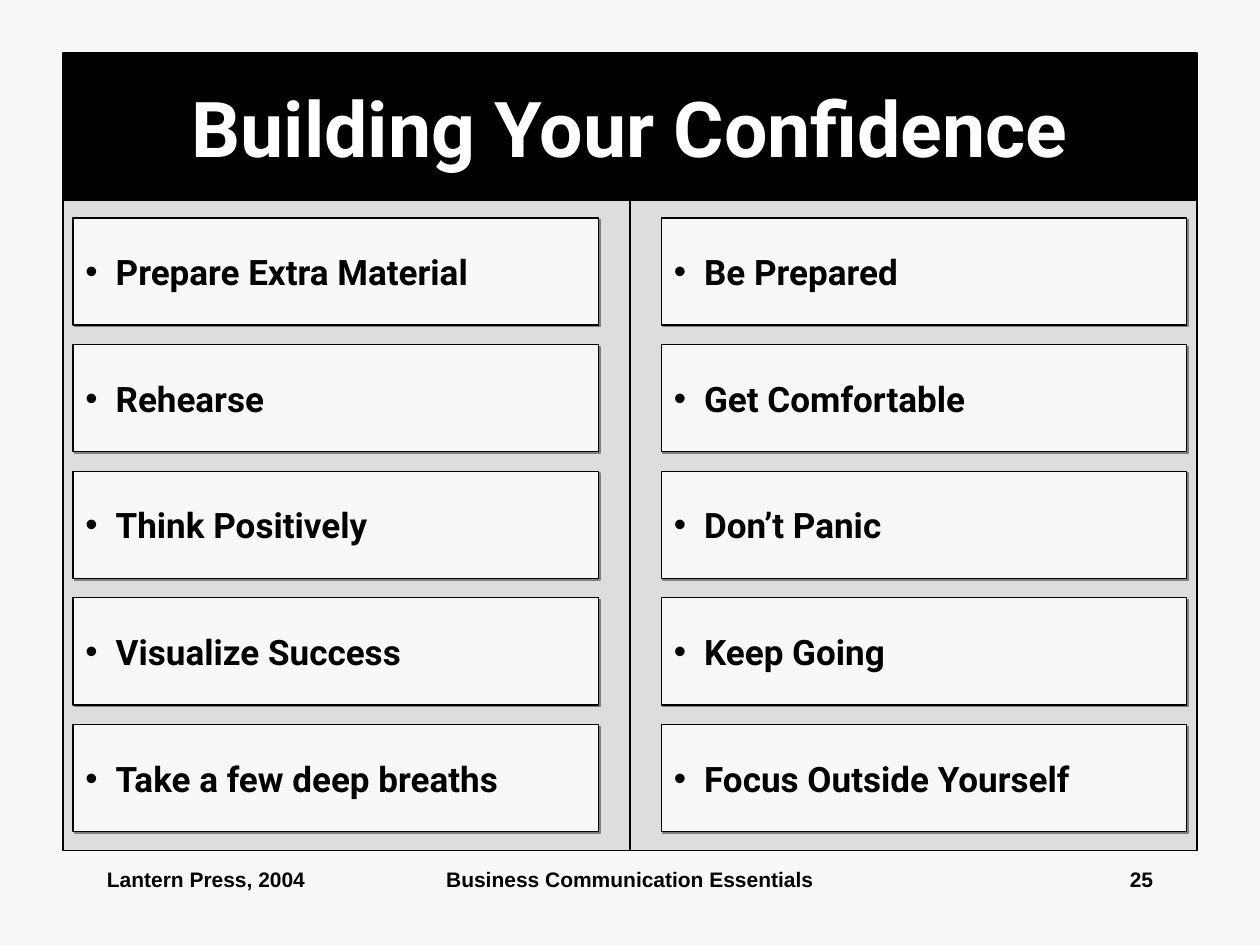
"""Build the "Building Your Confidence" slide."""
from lxml import etree
from pptx import Presentation
from pptx.dml.color import RGBColor
from pptx.enum import shapes, text
from pptx.oxml import ns
from pptx.util import Inches, Pt

BLACK = RGBColor(0x00, 0x00, 0x00)
WHITE = RGBColor(0xFF, 0xFF, 0xFF)
PAPER = RGBColor(0xF8, 0xF8, 0xF8)
PANEL = RGBColor(0xDD, 0xDD, 0xDD)
SHADOW = RGBColor(0x80, 0x80, 0x80)

LEFT, CENTER, RIGHT = text.PP_ALIGN.LEFT, text.PP_ALIGN.CENTER, text.PP_ALIGN.RIGHT

TITLE = "Building Your Confidence"
COLUMNS = [
    (0.5, 0.58, ["Prepare Extra Material", "Rehearse", "Think Positively",
                 "Visualize Success", "Take a few deep breaths"]),
    (5, 5.25, ["Be Prepared", "Get Comfortable", "Don’t Panic",
               "Keep Going", "Focus Outside Yourself"]),
]
FOOTERS = [
    ("Lantern Press, 2004", 0.75, 2.08, LEFT),
    ("Business Communication Essentials", 3.42, 3.16, CENTER),
    ("25", 7.17, 2.08, RIGHT),
]
CARD_TOP, CARD_STEP, CARD_WIDTH, CARD_HEIGHT = 1.73, 1.005, 4.17, 0.85
BULLET_INDENT = Inches(0.24)


def add_box(slide, left, top, width, height, fill):
    shape = slide.shapes.add_shape(
        shapes.MSO_SHAPE.RECTANGLE,
        Inches(left), Inches(top), Inches(width), Inches(height))
    shape.shadow.inherit = False
    shape.fill.solid()
    shape.fill.fore_color.rgb = fill
    shape.line.color.rgb = BLACK
    shape.line.width = Pt(0.75)
    return shape


def write(shape, wording, font, size, color, alignment, anchor):
    frame = shape.text_frame
    frame.word_wrap = True
    frame.vertical_anchor = anchor
    paragraph = frame.paragraphs[0]
    paragraph.alignment = alignment
    paragraph.space_before = paragraph.space_after = Pt(0.4)
    run = paragraph.add_run()
    run.text = wording
    run.font.name = font
    run.font.size = Pt(size)
    run.font.bold = True
    run.font.color.rgb = color
    return paragraph


def add_bullet(paragraph):
    properties = paragraph._p.get_or_add_pPr()
    properties.set("marL", str(BULLET_INDENT))
    properties.set("indent", str(-BULLET_INDENT))
    color = etree.SubElement(properties, ns.qn("a:buClr"))
    etree.SubElement(color, ns.qn("a:srgbClr"), val=str(BLACK))
    etree.SubElement(properties, ns.qn("a:buFont"), typeface="Arial")
    etree.SubElement(properties, ns.qn("a:buChar"), char="•")


def add_shadow(shape):
    effects = shape._element.spPr.find(ns.qn("a:effectLst"))
    shadow = etree.SubElement(
        effects, ns.qn("a:outerShdw"), blurRad="0", dist=str(Pt(1.4)),
        dir=str(45 * 60000), algn="ctr", rotWithShape="0")
    etree.SubElement(shadow, ns.qn("a:srgbClr"), val=str(SHADOW))


def main():
    presentation = Presentation()
    presentation.slide_width, presentation.slide_height = Inches(10), Inches(7.5)
    slide = presentation.slides.add_slide(presentation.slide_layouts[6])
    slide.background.fill.solid()
    slide.background.fill.fore_color.rgb = PAPER

    for panel_left, _, _ in reversed(COLUMNS):
        add_box(slide, panel_left, 1.58, 4.5, 5.17, PANEL)

    banner = add_box(slide, 0.5, 0.42, 9, 1.17, BLACK)
    write(banner, TITLE, "Roboto", 44, WHITE, CENTER, text.MSO_ANCHOR.MIDDLE)

    for _, card_left, tips in COLUMNS:
        for row, tip in enumerate(tips):
            card = add_box(slide, card_left, CARD_TOP + row * CARD_STEP,
                           CARD_WIDTH, CARD_HEIGHT, PAPER)
            add_shadow(card)
            add_bullet(write(card, tip, "Roboto", 20, BLACK, LEFT,
                             text.MSO_ANCHOR.MIDDLE))

    for wording, left, width, alignment in FOOTERS:
        footer = slide.shapes.add_textbox(
            Inches(left), Inches(6.83), Inches(width), Inches(0.49))
        write(footer, wording, "Arial", 12, BLACK, alignment, text.MSO_ANCHOR.TOP)

    presentation.save("out.pptx")


if __name__ == "__main__":
    main()
